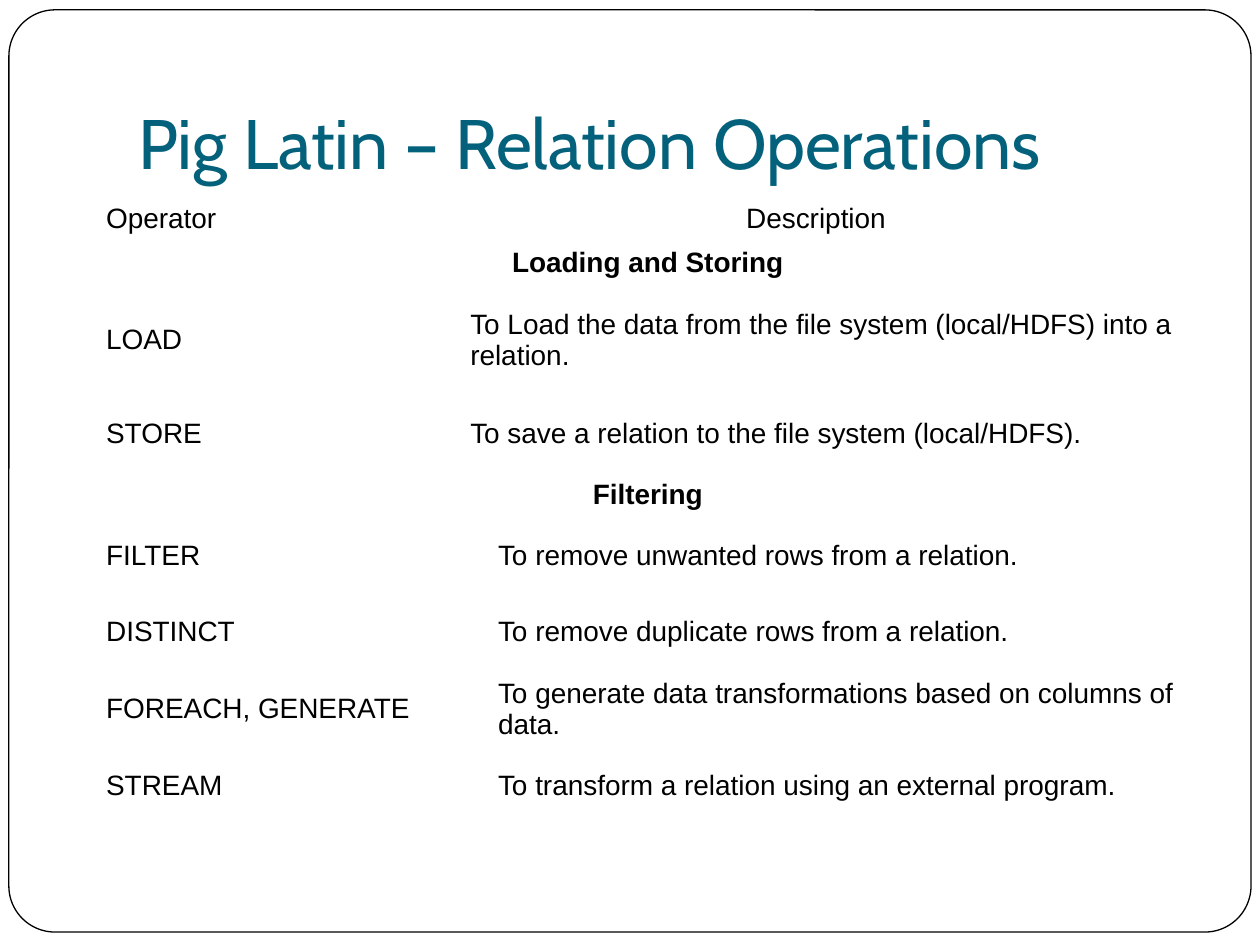
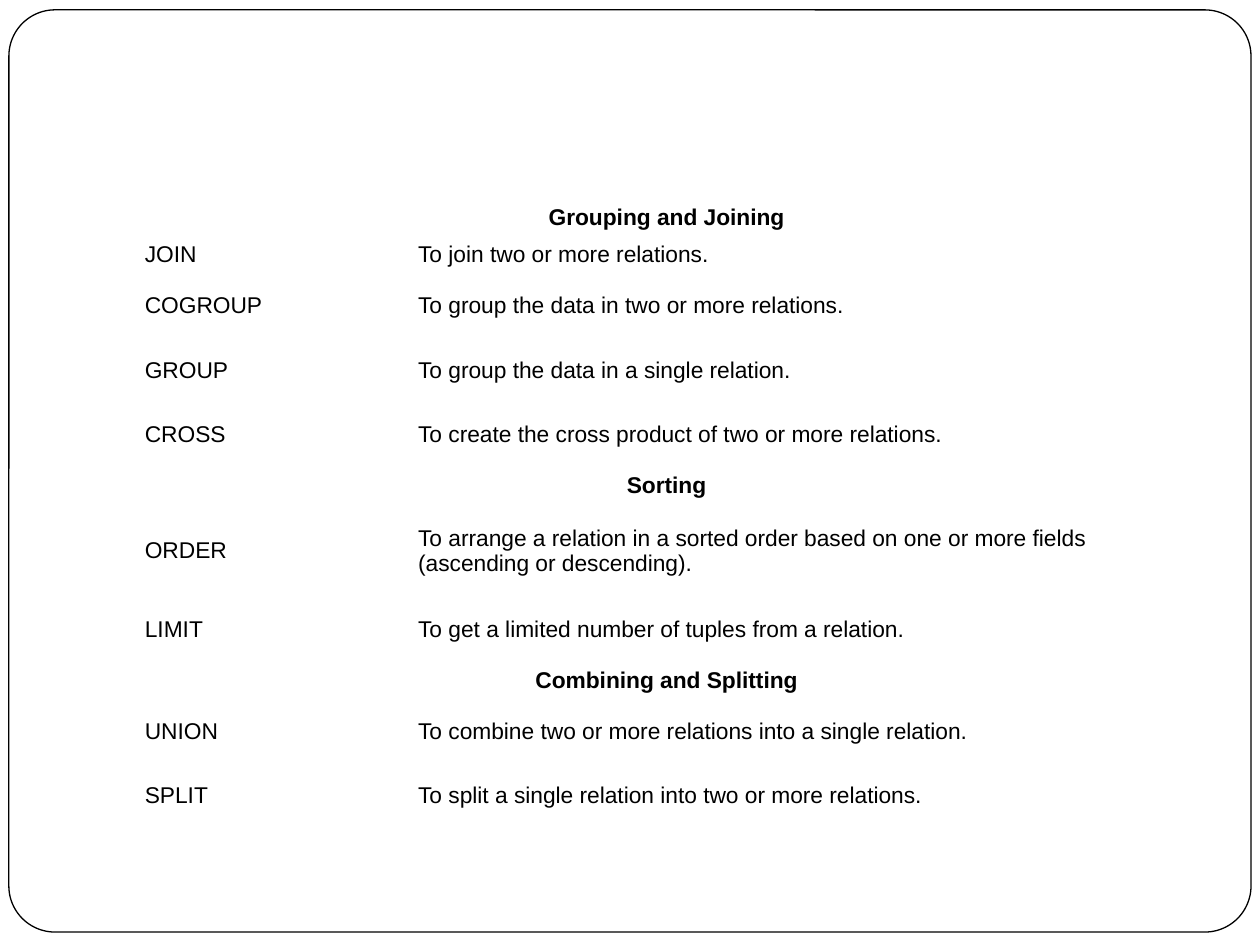
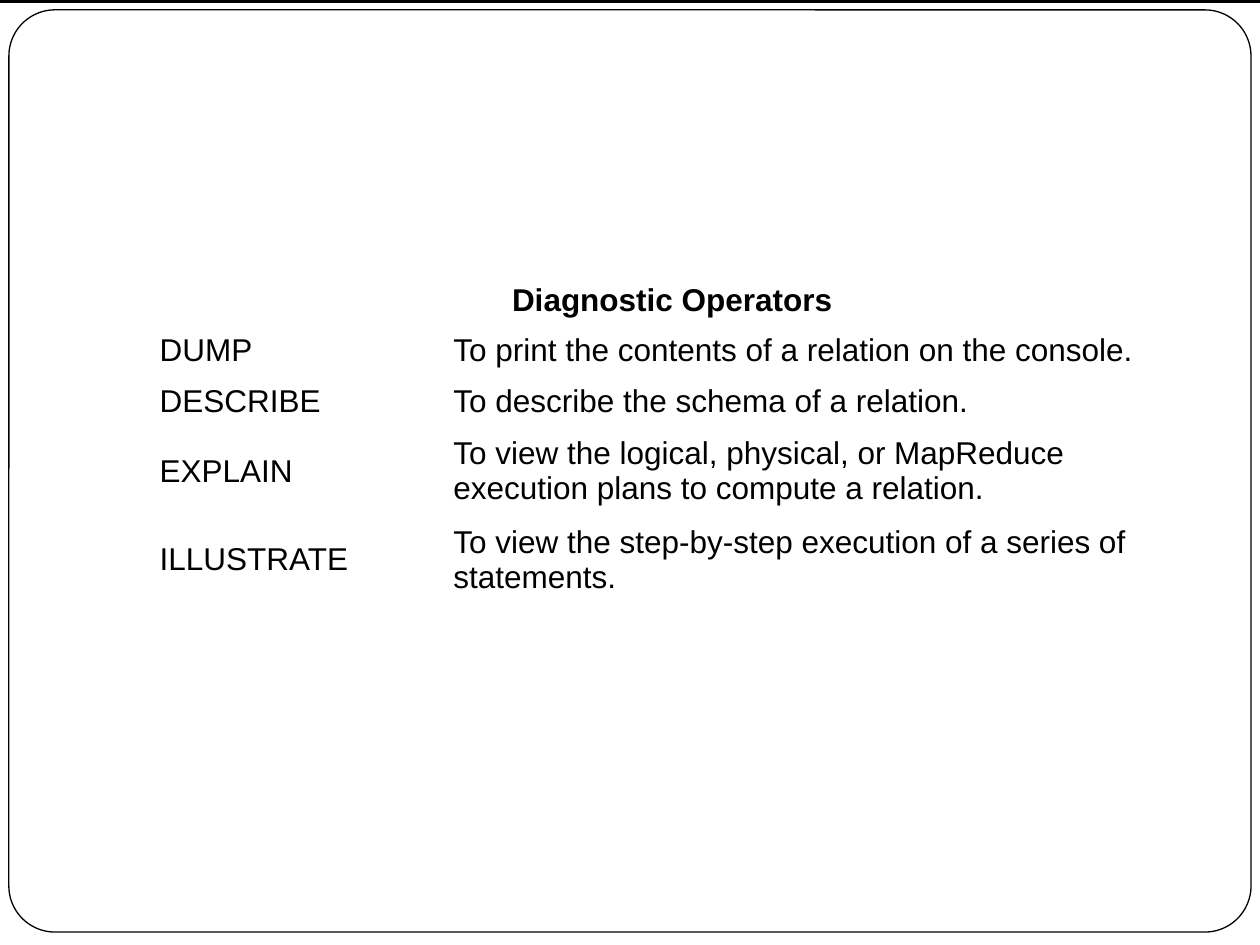
import pptx
import pptx.dml.color
import pptx.enum.shapes
import pptx.enum.text
import pptx.util

Cm = pptx.util.Cm
Pt = pptx.util.Pt
ALIGN = pptx.enum.text.PP_ALIGN
ANCHOR = pptx.enum.text.MSO_ANCHOR
SHAPE = pptx.enum.shapes.MSO_SHAPE

BLACK, WHITE, TITLE_BLUE = "000000", "FFFFFF", "04617B"
BODY_FONT, TITLE_FONT = "Arial", "Cabin"
SLIDE_WIDTH, SLIDE_HEIGHT = 25.4, 19.05
BLANK_LAYOUT = 6

# Each row: height, column where the description starts (None for a
# full-width heading), then the texts.
RELATION_ROWS = [
    (0.89, 1, "Operator", "Description"),
    (0.89, None, "Loading and Storing"),
    (2.24, 2, "LOAD", "To Load the data from the file system (local/HDFS) into a relation."),
    (1.55, 2, "STORE", "To save a relation to the file system (local/HDFS)."),
    (0.89, None, "Filtering"),
    (1.55, 3, "FILTER", "To remove unwanted rows from a relation."),
    (1.55, 3, "DISTINCT", "To remove duplicate rows from a relation."),
    (1.55, 3, "FOREACH, GENERATE", "To generate data transformations based on columns of data."),
    (1.55, 3, "STREAM", "To transform a relation using an external program."),
]
GROUPING_ROWS = [
    (0.74, None, "Grouping and Joining"),
    (0.74, 1, "JOIN", "To join two or more relations."),
    (1.3, 1, "COGROUP", "To group the data in two or more relations."),
    (1.3, 1, "GROUP", "To group the data in a single relation."),
    (1.3, 1, "CROSS", "To create the cross product of two or more relations."),
    (0.74, None, "Sorting"),
    (1.88, 1, "ORDER", "To arrange a relation in a sorted order based on one or more fields "
                       "(ascending or descending)."),
    (1.3, 1, "LIMIT", "To get a limited number of tuples from a relation."),
    (0.74, None, "Combining and Splitting"),
    (1.3, 1, "UNION", "To combine two or more relations into a single relation."),
    (1.3, 1, "SPLIT", "To split a single relation into two or more relations."),
]
DIAGNOSTIC_ROWS = [
    (0.95, None, "Diagnostic Operators"),
    (0.95, 1, "DUMP", "To print the contents of a relation on the console."),
    (0.95, 1, "DESCRIBE", "To describe the schema of a relation."),
    (1.67, 1, "EXPLAIN", "To view the logical, physical, or MapReduce execution plans "
                         "to compute a relation."),
    (1.67, 1, "ILLUSTRATE", "To view the step-by-step execution of a series of statements."),
]


def color(hex_value):
    return pptx.dml.color.RGBColor.from_string(hex_value)


def set_attributes(target, values):
    for name, value in values.items():
        setattr(target, name, value)


def margins(left, top, right, bottom):
    sides = zip(("left", "top", "right", "bottom"), (left, top, right, bottom))
    return {f"margin_{side}": Cm(size) for side, size in sides}


def write_text(paragraph, text, size, hex_value=BLACK, font=BODY_FONT, bold=False):
    run = paragraph.add_run()
    run.text = text
    set_attributes(run.font, {"name": font, "size": Pt(size), "bold": bold})
    run.font.color.rgb = color(hex_value)


def add_box(slide, kind, left, top, width, height, fill):
    """Add a filled preset shape with a thin black outline."""
    shape = slide.shapes.add_shape(kind, Cm(left), Cm(top), Cm(width), Cm(height))
    shape.shadow.inherit = False
    shape.fill.solid()
    shape.fill.fore_color.rgb = color(fill)
    shape.line.color.rgb = color(BLACK)
    shape.line.width = Pt(0.75)
    return shape


def add_framed_slide(presentation):
    slide = presentation.slides.add_slide(presentation.slide_layouts[BLANK_LAYOUT])
    frame = add_box(slide, SHAPE.ROUNDED_RECTANGLE, 0.18, 0.2, 25.04, 18.59, WHITE)
    frame.adjustments[0] = 0.05
    return slide


def add_title(slide, text):
    box = slide.shapes.add_textbox(Cm(2.54), Cm(0.76), Cm(21.59), Cm(3.18))
    set_attributes(box.text_frame, {
        "word_wrap": True,
        "vertical_anchor": ANCHOR.BOTTOM,
        **margins(0.25, 0.13, 0.25, 0.25),
    })
    write_text(box.text_frame.paragraphs[0], text, 40, TITLE_BLUE, TITLE_FONT)


def fill_cell(cell, text, size, centered=False, bold=False):
    paragraph = cell.text_frame.paragraphs[0]
    paragraph.alignment = ALIGN.CENTER if centered else ALIGN.LEFT
    write_text(paragraph, text, size, bold=bold)


def add_operator_table(slide, left, top, widths, rows, size, inset):
    """Add an unfilled table of operators under full-width headings."""
    total_height = sum(row[0] for row in rows)
    table = slide.shapes.add_table(len(rows), len(widths), Cm(left), Cm(top),
                                   Cm(sum(widths)), Cm(total_height)).table
    set_attributes(table, {"first_row": False, "horz_banding": False})
    for column, width in zip(table.columns, widths):
        column.width = Cm(width)
    for cell in table.iter_cells():
        cell.fill.background()
        set_attributes(cell, {"vertical_anchor": ANCHOR.MIDDLE, **margins(*inset, *inset)})

    last = len(widths) - 1
    for index, (height, split, *texts) in enumerate(rows):
        table.rows[index].height = Cm(height)
        is_heading = split is None
        spans = [(0, last)] if is_heading else [(0, split - 1), (split, last)]
        for (start, end), text in zip(spans, texts):
            cell = table.cell(index, start)
            if end > start:
                cell.merge(table.cell(index, end))
            centered = is_heading or text == "Description"
            fill_cell(cell, text, size, centered, is_heading)


def main():
    presentation = pptx.Presentation()
    presentation.slide_width = Cm(SLIDE_WIDTH)
    presentation.slide_height = Cm(SLIDE_HEIGHT)

    slide = add_framed_slide(presentation)
    add_title(slide, "Pig Latin – Relation Operations")
    add_operator_table(slide, 1.91, 3.96, [6.78, 0.43, 0.3, 14.4],
                       RELATION_ROWS, 16, (0.23, 0.1))

    slide = add_framed_slide(presentation)
    add_operator_table(slide, 2.74, 4.01, [5.51, 15.88], GROUPING_ROWS, 13, (0.18, 0.1))

    slide = add_framed_slide(presentation)
    add_operator_table(slide, 2.97, 5.54, [5.92, 15.24], DIAGNOSTIC_ROWS, 18, (0.25, 0.13))
    add_box(slide, SHAPE.RECTANGLE, 0, 0, SLIDE_WIDTH, 0.05, BLACK)

    presentation.save("out.pptx")


if __name__ == "__main__":
    main()
